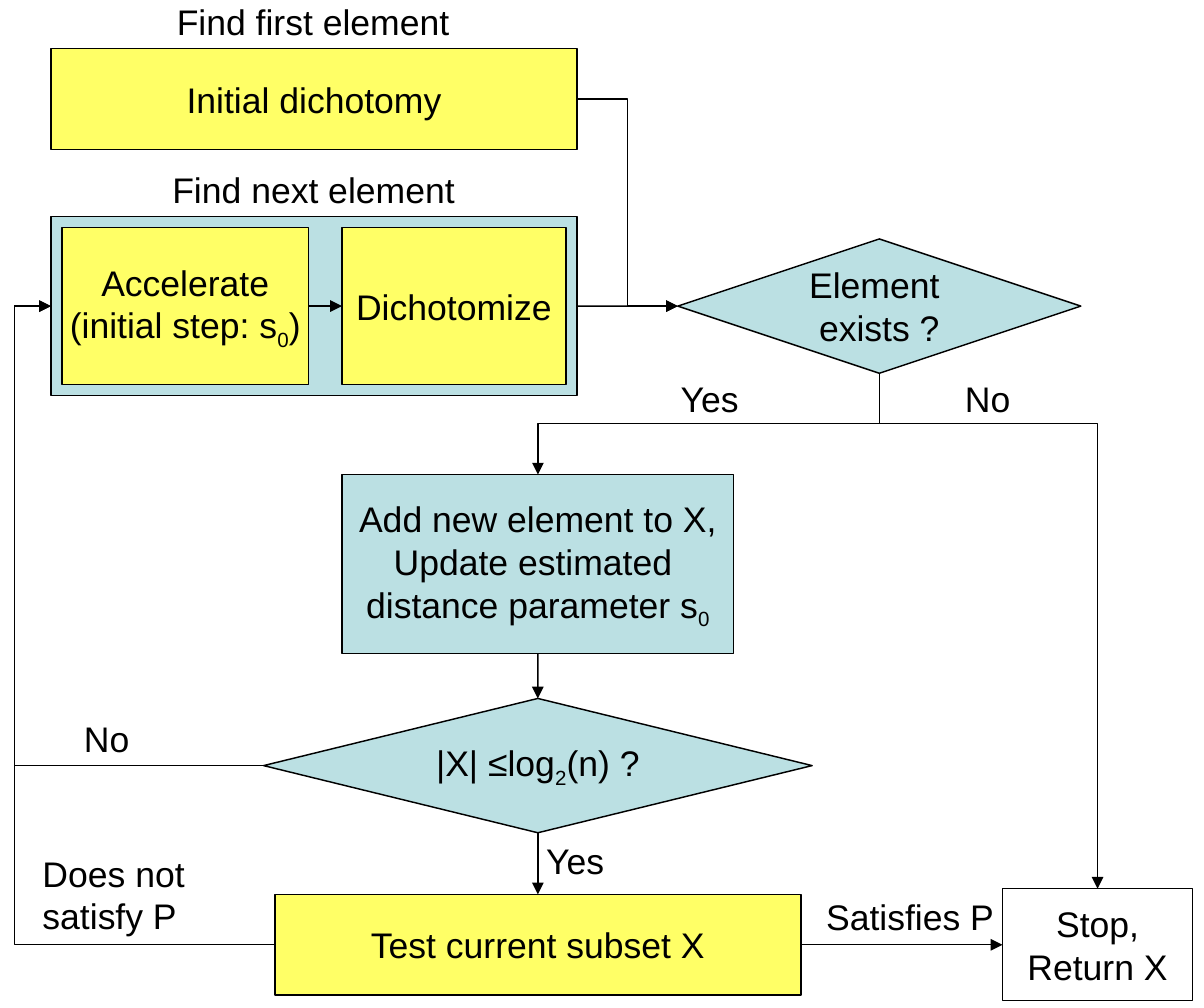
from lxml import etree
from pptx import Presentation
from pptx.dml.color import RGBColor
from pptx.enum.shapes import MSO_CONNECTOR, MSO_SHAPE
from pptx.enum.text import MSO_ANCHOR, MSO_AUTO_SIZE, PP_ALIGN
from pptx.oxml.ns import qn
from pptx.util import Cm, Pt

RECT, DIAMOND = MSO_SHAPE.RECTANGLE, MSO_SHAPE.DIAMOND
STRAIGHT, ELBOW = MSO_CONNECTOR.STRAIGHT, MSO_CONNECTOR.ELBOW
MIDDLE, FIT = MSO_ANCHOR.MIDDLE, MSO_AUTO_SIZE.SHAPE_TO_FIT_TEXT
LEFT, CENTER = PP_ALIGN.LEFT, PP_ALIGN.CENTER
TOP, WEST, BOTTOM, EAST = range(4)
BLACK, WHITE, YELLOW, BLUE = "000000", "FFFFFF", "FFFF66", "BBE0E3"
FONT, SIZE, STROKE = "Arial", Pt(18), Pt(0.75)


def color(code):
    """Turn a hex string into a colour."""
    return RGBColor.from_string(code)


def write(frame, lines, align):
    """Fill a frame with lines of runs; a leading underscore marks a subscript."""
    frame.word_wrap = False
    for i, line in enumerate(lines):
        para = frame.add_paragraph() if i else frame.paragraphs[0]
        para.alignment = align
        for text in line:
            run = para.add_run()
            run.text = text.lstrip("_")
            run.font.name, run.font.size = FONT, SIZE
            run.font.color.rgb = color(BLACK)
            if text.startswith("_"):
                run._r.get_or_add_rPr().set("baseline", "-25000")


def node(slide, kind, fill, box, *lines):
    """Add a filled shape with centred text."""
    shape = slide.shapes.add_shape(kind, *map(Cm, box))
    shape.shadow.inherit = False
    shape.fill.solid()
    shape.fill.fore_color.rgb = color(fill)
    shape.line.color.rgb = color(BLACK)
    shape.line.width = STROKE
    shape.text_frame.vertical_anchor = MIDDLE
    write(shape.text_frame, lines, CENTER)
    return shape


def label(slide, left, top, width, *lines):
    """Add a free label, sized by its number of lines."""
    height = 0.26 + 0.76 * len(lines)
    text = slide.shapes.add_textbox(Cm(left), Cm(top), Cm(width), Cm(height))
    text.text_frame.auto_size = FIT
    write(text.text_frame, [[line] for line in lines], LEFT)


def finish(wire):
    """Give a connector its line and arrowhead, and no shadow."""
    wire.line.color.rgb = color(BLACK)
    wire.line.width = STROKE
    etree.SubElement(wire.line._get_or_add_ln(), qn("a:tailEnd"), type="triangle")
    etree.SubElement(wire._element.spPr, qn("a:effectLst"))


def arrow(slide, start, out, end, into):
    """Join two shapes by a straight arrow."""
    wire = slide.shapes.add_connector(STRAIGHT, 0, 0, 0, 0)
    wire.begin_connect(start, out)
    wire.end_connect(end, into)
    finish(wire)


def side(shape, index):
    """Return the middle point of one side of a shape."""
    across, down = ((1, 0), (0, 1), (1, 2), (2, 1))[index]
    return shape.left + shape.width * across // 2, shape.top + shape.height * down // 2


def bend(slide, start, out, end, into, via):
    """Draw an arrow with two corners, its middle part lying at via."""
    (x1, y1), (x2, y2) = side(start, out), side(end, into)
    down, right = out == BOTTOM, x2 > x1
    wide, high = abs(x2 - x1), abs(y2 - y1)
    ratio = (Cm(via) - y1) / (y2 - y1) if down else (Cm(via) - x1) / (x2 - x1)
    if down:
        wide, high = high, wide
    left, top = (x1 + x2 - wide) // 2, (y1 + y2 - high) // 2
    wire = slide.shapes.add_connector(ELBOW, left, top, left + wide, top + high)
    turn = (270 if right else 90) if down else (0 if right else 180)
    frame = wire._element.spPr.find(qn("a:xfrm"))
    frame.set("rot", str(turn * 60000))
    if down and right:
        frame.set("flipH", "1")
    guides = wire._element.spPr.find(qn("a:prstGeom")).get_or_add_avLst()
    etree.SubElement(guides, qn("a:gd"), name="adj1", fmla=f"val {round(ratio * 100000)}")
    finish(wire)


def search(slide, left, top, width):
    """Draw the two ways of finding an element."""
    first = node(slide, RECT, YELLOW, (left, top, width, 1.8), ["Initial dichotomy"])
    again = node(slide, RECT, BLUE, (left, top + 3, width, 3.2))
    label(slide, left + 2, top - 1, 5.6, "Find first element")
    label(slide, left + 1.92, top + 2, 5.8, "Find next element")
    speed = node(slide, RECT, YELLOW, (left + 0.2, top + 3.2, 4.4, 2.8),
                 ["Accelerate"], ["(initial step: s", "_0", ")"])
    halve = node(slide, RECT, YELLOW, (left + width - 4.2, top + 3.2, 4, 2.8),
                 ["Dichotomize"])
    arrow(slide, speed, EAST, halve, WEST)
    return first, again


def check(slide, left, top, width):
    """Draw the test for an element, with its two answers."""
    label(slide, left - 0.2, top + 2.34, 1.7, "Yes")
    label(slide, left + 4.88, top + 2.34, 1.4, "No")
    return node(slide, DIAMOND, BLUE, (left, top, width, 2.4),
                ["Element "], ["exists ?"])


def update(slide, mid, top):
    """Draw the column that grows and tests the subset."""
    grow = node(slide, RECT, BLUE, (mid - 3.5, top, 7, 3.2), ["Add new element to X,"],
                ["Update estimated "], ["distance parameter s", "_0"])
    count = node(slide, DIAMOND, BLUE, (mid - 4.9, top + 4, 9.8, 2.4),
                 ["|X| ≤log", "_2", "(n) ?"])
    test = node(slide, RECT, YELLOW, (mid - 4.7, top + 7.5, 9.4, 1.8),
                ["Test current subset X"])
    arrow(slide, grow, BOTTOM, count, TOP)
    arrow(slide, count, BOTTOM, test, TOP)
    label(slide, mid - 8.36, top + 4.2, 1.4, "No")
    label(slide, mid - 0.1, top + 6.38, 1.7, "Yes")
    label(slide, mid - 9.1, top + 6.61, 3.3, "Does not", "satisfy P")
    label(slide, mid + 4.9, top + 7.38, 3.6, "Satisfies P")
    return grow, count, test


def main():
    """Build the flow chart slide."""
    deck = Presentation()
    deck.slide_width, deck.slide_height = Cm(21.51), Cm(18.01)
    slide = deck.slides.add_slide(deck.slide_layouts[6])
    first, again = search(slide, 0.91, 0.87, 9.4)
    exists = check(slide, 12.11, 4.27, 7.2)
    grow, count, test = update(slide, 9.61, 8.48)
    stop = node(slide, RECT, WHITE, (17.91, 15.88, 3.4, 2), ["Stop,"], ["Return X"])
    arrow(slide, again, EAST, exists, WEST)
    arrow(slide, test, EAST, stop, WEST)
    bend(slide, first, EAST, exists, WEST, 11.21)
    for end in grow, stop:
        bend(slide, exists, BOTTOM, end, TOP, 7.57)
    for start in count, test:
        bend(slide, start, WEST, again, WEST, 0.26)
    deck.save("out.pptx")


if __name__ == "__main__":
    main()
